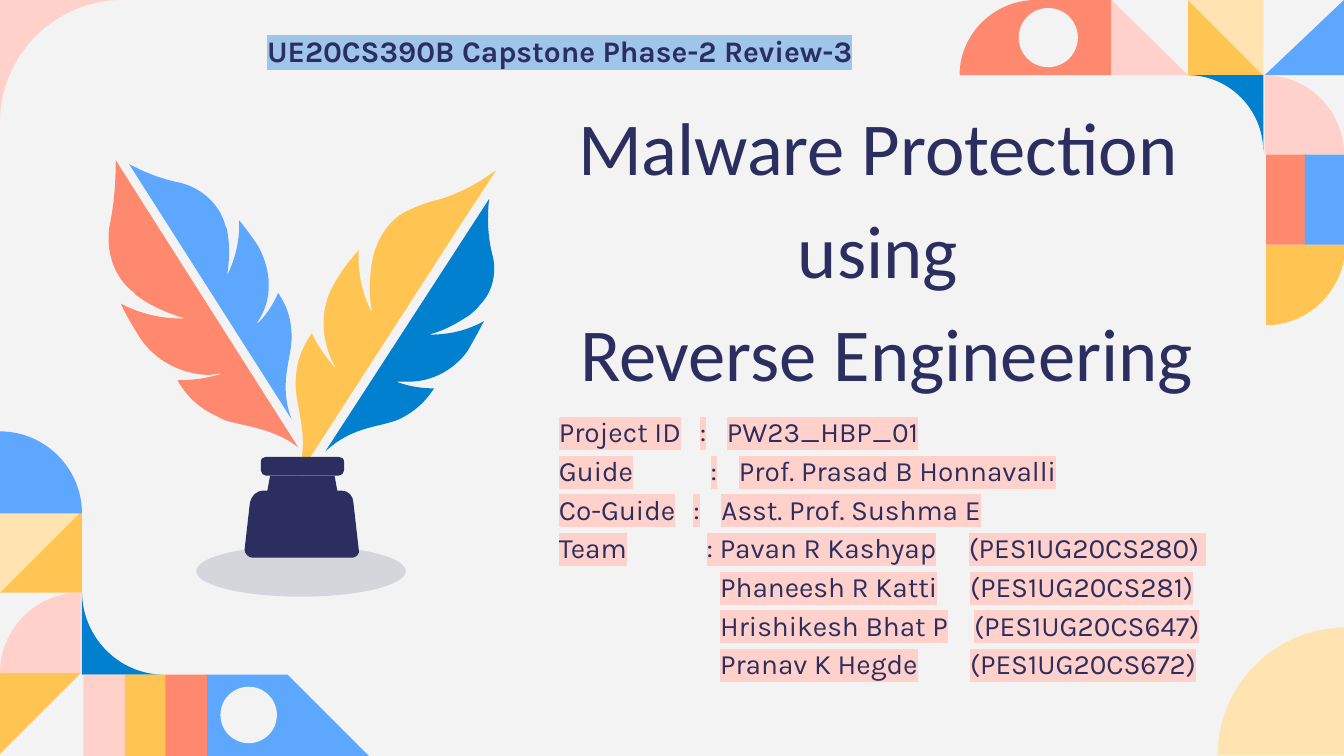
"""Builds the title slide of a capstone project review."""
from lxml.etree import SubElement
from pptx import Presentation
from pptx.dml.color import RGBColor
from pptx.enum.shapes import MSO_SHAPE
from pptx.enum.text import MSO_ANCHOR, PP_ALIGN
from pptx.oxml.ns import qn
from pptx.util import Cm, Pt

NAVY, PAPER = "2B2E5F", "F3F3F3"
CORAL, PINK, YELLOW, PEACH = "FF896F", "FFD1CA", "FFC451", "FFE4B1"
SKY, BLUE, PALE_BLUE = "5EA7FF", "0080CF", "9FC5E8"
ARC = 0.55

LEAVES = [
    (CORAL, "M .86 1.19 C .86 1.19 .87 1.41 .82 1.66 C .78 1.85 .84 2.06 1 2.18 "
     "C 1 2.19 1.01 2.19 1.02 2.2 C 1.11 2.27 1.24 2.33 1.38 2.37 C 1.38 2.37 1.36 2.37 1.34 2.37 "
     "C 1.27 2.37 1.09 2.36 .9 2.26 C .94 2.35 .99 2.43 1.04 2.51 C 1.15 2.68 1.34 2.78 1.54 2.79 "
     "C 1.58 2.79 1.62 2.78 1.65 2.78 C 1.65 2.78 1.52 2.83 1.32 2.83 C 1.41 2.98 1.51 3.05 1.62 3.1 "
     "C 1.65 3.12 1.68 3.13 1.72 3.14 C 1.76 3.15 1.8 3.16 1.85 3.17 C 1.93 3.19 2.1 3.23 2.22 3.33"),
    (SKY, "M .96 1.22 L 2.17 3.12 C 2.07 2.86 2.17 2.67 2.17 2.51 C 2.17 2.4 2.15 2.3 2.07 2.18 "
     "C 2.01 2.32 1.92 2.41 1.91 2.41 C 1.92 2.39 1.94 2.36 1.95 2.34 C 2.03 2.18 2.01 1.99 1.92 1.83 "
     "C 1.88 1.77 1.83 1.7 1.78 1.64 C 1.79 1.87 1.69 2.05 1.69 2.05 C 1.71 1.93 1.71 1.81 1.69 1.71 "
     "C 1.69 1.7 1.68 1.69 1.68 1.69 C 1.64 1.52 1.5 1.4 1.34 1.36 C 1.13 1.32 .96 1.22 .96 1.22"),
    (BLUE, "M 3.64 1.48 L 2.42 3.36 C 2.62 3.17 2.83 3.18 2.97 3.12 C 3.07 3.07 3.15 3.01 3.23 2.89 "
     "C 3.06 2.89 2.95 2.84 2.95 2.84 C 2.98 2.84 3.01 2.84 3.04 2.84 C 3.22 2.84 3.38 2.75 3.48 2.61 "
     "C 3.52 2.54 3.56 2.47 3.6 2.39 C 3.44 2.48 3.29 2.49 3.19 2.49 C 3.31 2.46 3.41 2.4 3.5 2.34 "
     "C 3.52 2.32 3.55 2.3 3.57 2.27 C 3.67 2.17 3.7 2.02 3.66 1.88 C 3.61 1.68 3.64 1.48 3.64 1.48"),
    (YELLOW, "M 3.69 1.27 L 3.63 1.31 C 3.51 1.39 3.39 1.45 3.25 1.49 C 3.2 1.5 3.14 1.52 3.05 1.56 "
     "C 2.9 1.62 2.8 1.78 2.77 1.94 C 2.75 2.05 2.74 2.19 2.77 2.33 C 2.77 2.33 2.65 2.13 2.67 1.86 "
     "C 2.61 1.93 2.55 2 2.5 2.09 C 2.39 2.26 2.38 2.47 2.46 2.66 C 2.47 2.69 2.49 2.72 2.51 2.75 "
     "C 2.51 2.75 2.4 2.65 2.32 2.48 C 2.22 2.63 2.2 2.74 2.2 2.86 C 2.2 3.05 2.32 3.27 2.2 3.57 "
     "L 3.46 1.62"),
]
INKWELL = [
    "M 1.98 3.4 C 1.96 3.4 1.94 3.41 1.94 3.44 L 1.94 3.5 C 1.94 3.52 1.96 3.54 1.98 3.54 L 2.52 3.54 "
    "C 2.54 3.54 2.56 3.52 2.56 3.5 L 2.56 3.44 C 2.56 3.41 2.54 3.4 2.52 3.4",
    "M 2.01 3.54 L 1.99 3.65 L 1.96 3.65 C 1.91 3.65 1.87 3.69 1.86 3.74 L 1.82 4.09 "
    "C 1.82 4.12 1.85 4.15 1.88 4.15 L 2.62 4.15 C 2.65 4.15 2.68 4.12 2.67 4.09 L 2.63 3.74 "
    "C 2.63 3.69 2.59 3.65 2.54 3.65 L 2.51 3.65 L 2.49 3.54",
]
TRIANGLES = [
    (YELLOW, "M 8.84 0 L 9.4 .56 L 8.84 .56"),
    (PEACH, "M 8.84 0 L 9.4 0 L 9.4 .56"),
    (PINK, "M 8.27 0 L 8.27 .56 L 8.84 .56"),
    (SKY, "M 10 0 L 10 .56 L 9.41 .56"),
    (YELLOW, "M 0 4.41 L .61 3.8 L .61 4.41"),
    (PEACH, "M 0 3.8 L .61 3.8 L 0 4.41"),
    (YELLOW, "M 0 5.01 L .6 5.01 L 0 5.61"),
]
QUARTERS = [
    (YELLOW, 9.42, 1.82, 0.59, 0.6), (PINK, 9.41, 1.15, 0.59, -0.59),
    (PEACH, 10.01, 5.62, -0.95, -0.95), (PINK, 0.6, 5.01, -0.6, -0.6),
    (SKY, 0, 3.82, 0.61, -0.61),
]
HOLLOWS = [
    (BLUE, 9.4, 0.56, -0.56, 0.57), (PINK, 0, 0, 0.91, 0.91),
    (BLUE, 0.61, 5.02, 0.61, -0.62),
]
BARS = [
    (CORAL, 9.42, 1.15, 0.3, 0.67), (SKY, 9.71, 1.15, 0.3, 0.67),
    (PINK, 0.62, 5.02, 0.31, 0.61), (YELLOW, 0.93, 5.02, 0.31, 0.61),
    (CORAL, 1.23, 5.02, 0.31, 0.61),
]
DETAILS = [
    ("", "Project ID\t:\tPW23_HBP_01", (1.05, 1.25)),
    ("", "Guide\t:\tProf. Prasad B Honnavalli", (1.13, 1.34)),
    ("", "Co-Guide\t:\tAsst. Prof. Sushma E", (1, 1.21)),
    ("", "Team\t: Pavan R Kashyap\t(PES1UG20CS280) ", (1.1, 3.05)),
    ("\t", "\tPhaneesh R Katti\t(PES1UG20CS281)", (1, 1.2, 3.06)),
    ("\t", "\tHrishikesh Bhat P\t(PES1UG20CS647)", (1, 1.2, 3.09)),
    ("\t", "\tPranav K Hegde\t(PES1UG20CS672)", (1, 1.2, 3.06)),
]


def length(inches):
    """Return a length given in inches."""
    return Cm(float(inches) * 2.54)


def paint(shape, colour):
    """Give a shape a flat fill without outline or shadow."""
    shape.shadow.inherit = False
    shape.fill.solid()
    shape.fill.fore_color.rgb = RGBColor.from_string(colour)
    shape.line.fill.background()
    return shape


def add_outline(page, colour, outline):
    """Draw a closed outline of M, L and C steps with true curves."""
    words = outline.split()
    steps = [word for word in words if word in "MLC"]
    numbers = [length(word) for word in words if word not in "MLC"]
    points = list(zip(numbers[::2], numbers[1::2]))
    builder = page.shapes.build_freeform(*points[0])
    builder.add_line_segments(points[1:], close=True)
    shape = paint(builder.convert_to_shape(), colour)
    segments = iter(list(shape._element.iter(qn("a:lnTo"))))
    for step in steps[1:]:
        segment = next(segments)
        if step == "C":
            segment.tag = qn("a:cubicBezTo")
            for _ in range(2):
                extra = next(segments)
                segment.append(extra[0])
                extra.getparent().remove(extra)


def add_quarter(page, colour, x, y, across, down):
    """Draw a quarter disc around its centre."""
    add_outline(page, colour, f"M {x} {y} L {x + across} {y} C {x + across} {y + ARC * down} "
                f"{x + ARC * across} {y + down} {x} {y + down}")


def add_hollow(page, colour, x, y, across, down):
    """Draw a square corner that is hollowed by an arc."""
    rest = 1 - ARC
    add_outline(page, colour, f"M {x} {y} L {x + across} {y} C {x + rest * across} {y} "
                f"{x} {y + rest * down} {x} {y + down}")


def add_preset(page, kind, colour, *place):
    """Draw a preset shape at left, top, width and height."""
    return paint(page.shapes.add_shape(kind, *map(length, place)), colour)


def add_box(page, *place, anchor=MSO_ANCHOR.TOP):
    """Add a wrapping text box and return its frame."""
    frame = page.shapes.add_textbox(*map(length, place)).text_frame
    frame.word_wrap = True
    frame.vertical_anchor = anchor
    for side in ("left", "top", "right", "bottom"):
        setattr(frame, f"margin_{side}", length(0.1))
    return frame


def add_paragraph(frame, first, align=PP_ALIGN.LEFT, stops=()):
    """Start a paragraph with its alignment and tab stops."""
    para = frame.paragraphs[0] if first else frame.add_paragraph()
    para.alignment = align
    para.line_spacing = 1.15
    if stops:
        tabs = SubElement(para._p.get_or_add_pPr(), qn("a:tabLst"))
        for stop in stops:
            SubElement(tabs, qn("a:tab"), pos=str(length(stop)), algn="l")
    return para


def add_span(para, text, font, size, bold=False, highlight=None):
    """Add a navy run, optionally highlighted."""
    span = para.add_run()
    span.text = text
    span.font.name = font
    span.font.size = Pt(size)
    span.font.bold = bold
    span.font.color.rgb = RGBColor.from_string(NAVY)
    if highlight:
        fill = span._r.get_or_add_rPr().find(qn("a:solidFill"))
        mark = SubElement(fill.getparent(), qn("a:highlight"))
        SubElement(mark, qn("a:srgbClr"), val=highlight)
        fill.addnext(mark)


def add_decoration(page):
    """Draw the geometric corners."""
    add_outline(page, CORAL, "M 8.27 .56 L 8.27 0 L 7.71 0 C 7.4 0 7.14 .25 7.14 .56")
    add_outline(page, SKY, "M 1.53 5.02 L 2.14 5.02 L 2.75 5.63 L 1.53 5.63")
    for triangle in TRIANGLES:
        add_outline(page, *triangle)
    for quarter in QUARTERS:
        add_quarter(page, *quarter)
    for hollow in HOLLOWS:
        add_hollow(page, *hollow)
    for bar in BARS:
        add_preset(page, MSO_SHAPE.RECTANGLE, *bar)
    add_preset(page, MSO_SHAPE.OVAL, PAPER, 7.58, 0.06, 0.44, 0.44)
    add_preset(page, MSO_SHAPE.OVAL, PAPER, 1.64, 5.11, 0.42, 0.42)


def add_quills(page):
    """Draw the two quills in their inkwell."""
    shade = add_preset(page, MSO_SHAPE.OVAL, NAVY, 1.46, 4.06, 1.56, 0.38)
    colour = shade._element.spPr.find(qn("a:solidFill"))[0]
    SubElement(colour, qn("a:alpha"), val="15000")
    for leaf in LEAVES:
        add_outline(page, *leaf)
    for part in INKWELL:
        add_outline(page, NAVY, part)


def add_texts(page):
    """Write the title, the project details and the review heading."""
    title = add_box(page, 3.76, 0.73, 5.67, 2.32, anchor=MSO_ANCHOR.BOTTOM)
    for index, line in enumerate(("Malware Protection ", "using ", "Reverse Engineering")):
        add_span(add_paragraph(title, index == 0, PP_ALIGN.CENTER), line, "Calibri", 40)
    details = add_box(page, 4.06, 2.95, 5.09, 2.19)
    for index, (lead, line, stops) in enumerate(DETAILS):
        para = add_paragraph(details, index == 0, stops=stops)
        if lead:
            add_span(para, lead, "Karla", 15)
        add_span(para, line, "Karla", 15, highlight=PINK)
    heading = add_paragraph(add_box(page, 1.62, 0.1, 5.09, 0.5), True, PP_ALIGN.CENTER)
    add_span(heading, "UE20CS390B Capstone Phase-2 Review-3", "Karla", 16, True, PALE_BLUE)


def main():
    """Build and save the deck."""
    deck = Presentation()
    deck.slide_width = length(10)
    deck.slide_height = deck.slide_width * 9 // 16
    page = deck.slides.add_slide(deck.slide_layouts[6])
    page.background.fill.solid()
    page.background.fill.fore_color.rgb = RGBColor.from_string(PAPER)
    add_decoration(page)
    add_quills(page)
    add_texts(page)
    deck.save("out.pptx")


if __name__ == "__main__":
    main()
